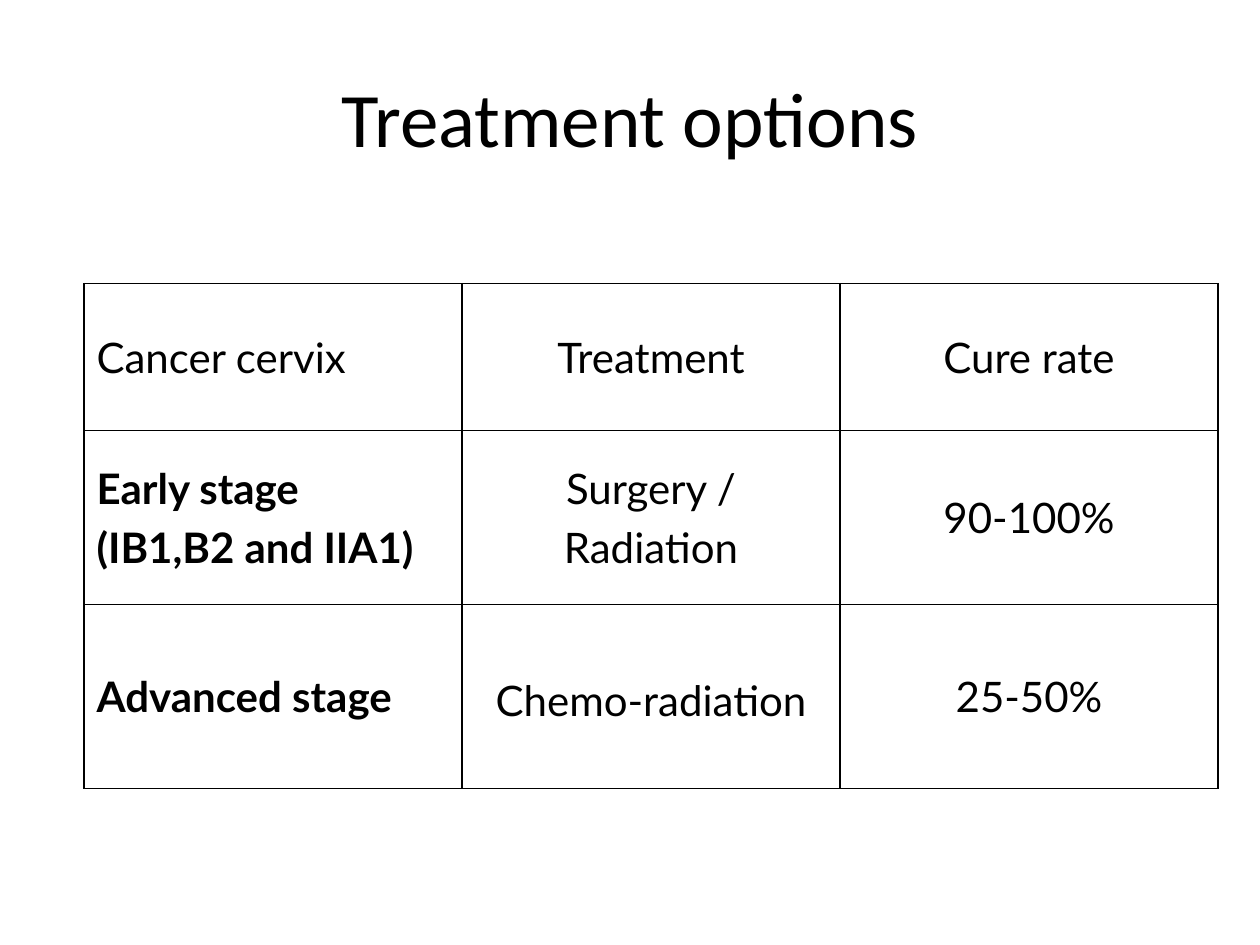
from lxml import etree
from pptx import Presentation
from pptx.dml.color import RGBColor
from pptx.enum import text
from pptx.oxml import ns
from pptx.util import Pt

BLACK = RGBColor(0, 0, 0)
WHITE = RGBColor(255, 255, 255)
ROW_HEIGHTS = [84, 99.5, 105]
COLUMN_WIDTH = 216
ROWS = [
    [["Cancer cervix"], ["Treatment"], ["Cure rate"]],
    [["Early stage", "(IB1,B2 and IIA1)"], ["Surgery /", "Radiation"], ["90-100%"]],
    [["Advanced stage"], ["Chemo-radiation"], ["25-50%"]],
]


def add_span(para, words, font_name, size, bold=False):
    span = para.add_run()
    span.text = words
    span.font.name = font_name
    span.font.size = Pt(size)
    span.font.bold = bold
    span.font.color.rgb = BLACK


def add_borders(cell):
    properties = cell._tc.get_or_add_tcPr()
    for position, side in enumerate(["lnL", "lnR", "lnT", "lnB"]):
        line = etree.Element(ns.qn(f"a:{side}"), w=str(Pt(1)))
        fill = etree.SubElement(line, ns.qn("a:solidFill"))
        etree.SubElement(fill, ns.qn("a:srgbClr"), val=str(BLACK))
        properties.insert(position, line)


deck = Presentation()
deck.slide_width, deck.slide_height = Pt(720), Pt(540)
page = deck.slides.add_slide(deck.slide_layouts[5])
page.background.fill.solid()
page.background.fill.fore_color.rgb = WHITE

title = page.shapes.title
title.left, title.top, title.width, title.height = Pt(36), Pt(21.6), Pt(648), Pt(90)
title.text_frame.vertical_anchor = text.MSO_ANCHOR.MIDDLE
title_para = title.text_frame.paragraphs[0]
title_para.alignment = text.PP_ALIGN.CENTER
add_span(title_para, "Treatment options", "Calibri", 44)

table = page.shapes.add_table(
    len(ROWS), 3, Pt(48), Pt(162), Pt(3 * COLUMN_WIDTH), Pt(sum(ROW_HEIGHTS))
).table
table.first_row = False
table.horz_banding = False
for column in table.columns:
    column.width = Pt(COLUMN_WIDTH)

for row_index, row in enumerate(ROWS):
    table.rows[row_index].height = Pt(ROW_HEIGHTS[row_index])
    for column_index, lines in enumerate(row):
        cell = table.cell(row_index, column_index)
        cell.fill.background()
        cell.vertical_anchor = text.MSO_ANCHOR.MIDDLE
        add_borders(cell)
        for line_index, words in enumerate(lines):
            frame = cell.text_frame
            para = frame.add_paragraph() if line_index else frame.paragraphs[0]
            para.alignment = text.PP_ALIGN.CENTER if column_index else text.PP_ALIGN.LEFT
            if line_index:
                para.space_before = Pt(4.8)
            add_span(para, words, "Lato", 24, bold=row_index > 0 and column_index == 0)

table.cell(2, 1).margin_top = Pt(8)

deck.save("out.pptx")
